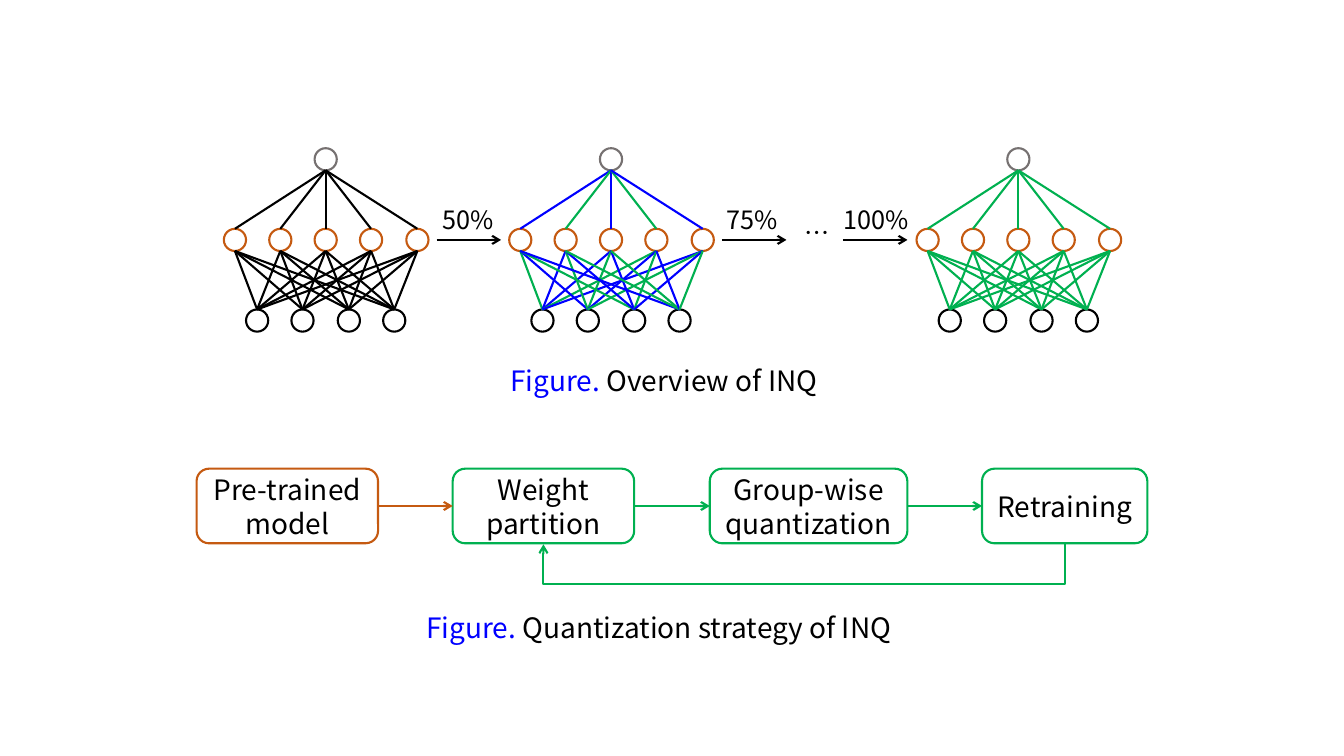
from dataclasses import dataclass
from typing import Any

from lxml import etree
from pptx import Presentation
from pptx.dml.color import RGBColor
from pptx.enum.shapes import MSO_CONNECTOR, MSO_SHAPE
from pptx.enum.text import MSO_ANCHOR, MSO_AUTO_SIZE, PP_ALIGN
from pptx.oxml.ns import qn
from pptx.util import Emu, Pt

STRAIGHT = MSO_CONNECTOR.STRAIGHT
ELBOW = MSO_CONNECTOR.ELBOW
ELLIPSE = MSO_SHAPE.OVAL
ROUNDED = MSO_SHAPE.ROUNDED_RECTANGLE
MIDDLE = MSO_ANCHOR.MIDDLE
FIT_SHAPE = MSO_AUTO_SIZE.SHAPE_TO_FIT_TEXT
CENTER = PP_ALIGN.CENTER

EMU_PER_PX = 9144
FONT = "Noto Sans CJK SC"
BLACK, BLUE, GREEN = "000000", "0000FF", "00B050"
ORANGE, GRAY = "C55A11", "767171"
EDGE_COLORS = {"K": BLACK, "B": BLUE, "G": GREEN}

RADIUS = 11
LAYER_SPAN = 181
OUTPUT_Y, HIDDEN_Y, INPUT_Y = 158, 238, 318
STEP_TOP, STEP_HEIGHT = 465, 74
STEP_MIDDLE = STEP_TOP + STEP_HEIGHT // 2
STEP_BOTTOM = STEP_TOP + STEP_HEIGHT
LOOP_DROP = 41


@dataclass(frozen=True)
class Network:
    left: int
    output_edges: str
    input_edges: tuple[str, ...]


@dataclass(frozen=True)
class Label:
    left: int
    top: int
    width: int
    height: int
    size: int
    runs: tuple[tuple[str, str], ...]


@dataclass(frozen=True)
class Step:
    left: int
    width: int
    text: str
    color: str


NETWORKS = (
    Network(516, "BGBGB", ("GBBGB", "BGGBG") * 2),
    Network(233, "KKKKK", ("KKKKK",) * 4),
    Network(920, "GGGGG", ("GGGGG",) * 4),
)
STAGE_ARROWS = (433, 716, 836)
STAGE_ARROW_LENGTH = 64
STAGE_LABELS = (
    Label(429, 198, 72, 40, 18, (("50%", BLACK),)),
    Label(711, 198, 72, 40, 18, (("75%", BLACK),)),
    Label(827, 198, 87, 40, 18, (("100%", BLACK),)),
    Label(788, 211, 41, 40, 18, (("…", BLACK),)),
)
CAPTIONS = (
    Label(496, 356, 342, 44, 20, (("Figure. ", BLUE), ("Overview of INQ", BLACK))),
    Label(413, 601, 507, 44, 20,
          (("Figure. ", BLUE), ("Quantization strategy of INQ", BLACK))),
)
STEPS = (
    Step(195, 180, "Pre-trained model", ORANGE),
    Step(449, 180, "Weight partition", GREEN),
    Step(704, 196, "Group-wise quantization", GREEN),
    Step(974, 164, "Retraining", GREEN),
)


def px(length: int) -> Emu:
    return Emu(length * EMU_PER_PX)


def rgb(color: str) -> RGBColor:
    return RGBColor.from_string(color)


def add_run(para: Any, text: str, size: int, color: str) -> None:
    span = para.add_run()
    span.text = text
    span.font.name = FONT
    span.font.size = Pt(size)
    span.font.color.rgb = rgb(color)


def add_outline(shapes: Any, kind: Any, left: int, top: int,
                width: int, height: int, color: str) -> Any:
    box = shapes.add_shape(kind, px(left), px(top), px(width), px(height))
    box.shadow.inherit = False
    box.fill.background()
    box.line.color.rgb = rgb(color)
    box.line.width = Pt(1.5)
    return box


def add_line(shapes: Any, kind: Any, start: tuple[int, int], end: tuple[int, int],
             color: str, arrow: bool = False) -> Any:
    line = shapes.add_connector(kind, *map(px, start + end))
    line.line.color.rgb = rgb(color)
    line.line.width = Pt(1.5)
    if arrow:
        etree.SubElement(line.line._get_or_add_ln(), qn("a:tailEnd"), type="arrow")
    etree.SubElement(line._element.spPr, qn("a:effectLst"))
    return line


def add_label(shapes: Any, label: Label) -> None:
    box = shapes.add_textbox(px(label.left), px(label.top), px(label.width), px(label.height))
    frame = box.text_frame
    frame.word_wrap = False
    frame.auto_size = FIT_SHAPE
    for text, color in label.runs:
        add_run(frame.paragraphs[0], text, label.size, color)


def add_node(shapes: Any, x: int, y: int, color: str) -> None:
    add_outline(shapes, ELLIPSE, x - RADIUS, y - RADIUS, 2 * RADIUS, 2 * RADIUS, color)


def add_network(shapes: Any, network: Network) -> None:
    output = network.left + LAYER_SPAN // 2
    hidden = [network.left + LAYER_SPAN * place // 4 for place in range(5)]
    inputs = [network.left + LAYER_SPAN * (2 * place + 1) // 8 for place in range(4)]
    add_node(shapes, output, OUTPUT_Y, GRAY)
    for x in hidden:
        add_node(shapes, x, HIDDEN_Y, ORANGE)
    for x in inputs:
        add_node(shapes, x, INPUT_Y, BLACK)
    for x, code in zip(hidden, network.output_edges):
        add_line(shapes, STRAIGHT, (x, HIDDEN_Y - RADIUS), (output, OUTPUT_Y + RADIUS),
                 EDGE_COLORS[code])
    for source, codes in zip(inputs, network.input_edges):
        for x, code in zip(hidden, codes):
            add_line(shapes, STRAIGHT, (source, INPUT_Y - RADIUS), (x, HIDDEN_Y + RADIUS),
                     EDGE_COLORS[code])


def add_step(shapes: Any, step: Step) -> Any:
    box = add_outline(shapes, ROUNDED, step.left, STEP_TOP, step.width, STEP_HEIGHT, step.color)
    frame = box.text_frame
    frame.word_wrap = True
    frame.vertical_anchor = MIDDLE
    para = frame.paragraphs[0]
    para.alignment = CENTER
    add_run(para, step.text, 20, BLACK)
    return box


def add_loop(shapes: Any, source: Step, target: Step) -> None:
    start = source.left + source.width // 2
    end = target.left + target.width // 2
    span = start - end
    left, top = (start + end) // 2, STEP_BOTTOM - span // 2
    loop = add_line(shapes, ELBOW, (left, top), (left + 1, top + span), GREEN, True)
    properties = loop._element.spPr
    properties.find(qn("a:xfrm")).set("rot", "5400000")
    guides = properties.find(qn("a:prstGeom")).get_or_add_avLst()
    etree.SubElement(guides, qn("a:gd"), name="adj1", fmla=f"val {LOOP_DROP * 100000}")


def add_strategy(shapes: Any) -> None:
    boxes = [add_step(shapes, step) for step in STEPS]
    add_loop(shapes, STEPS[3], STEPS[1])
    for place, step in enumerate(STEPS[:-1]):
        arrow = add_line(shapes, STRAIGHT, (step.left + step.width, STEP_MIDDLE),
                         (STEPS[place + 1].left, STEP_MIDDLE), step.color, True)
        arrow.begin_connect(boxes[place], 3)
        arrow.end_connect(boxes[place + 1], 1)


def main() -> None:
    deck = Presentation()
    deck.slide_width, deck.slide_height = px(1333), px(750)
    page = deck.slides.add_slide(deck.slide_layouts[6])
    overview = page.shapes.add_group_shape().shapes
    for network in NETWORKS:
        add_network(overview, network)
    for left in STAGE_ARROWS:
        add_line(overview, STRAIGHT, (left, HIDDEN_Y), (left + STAGE_ARROW_LENGTH, HIDDEN_Y),
                 BLACK, True)
    for label in STAGE_LABELS:
        add_label(overview, label)
    add_strategy(page.shapes.add_group_shape().shapes)
    for caption in CAPTIONS:
        add_label(page.shapes, caption)
    deck.save("out.pptx")


if __name__ == "__main__":
    main()
